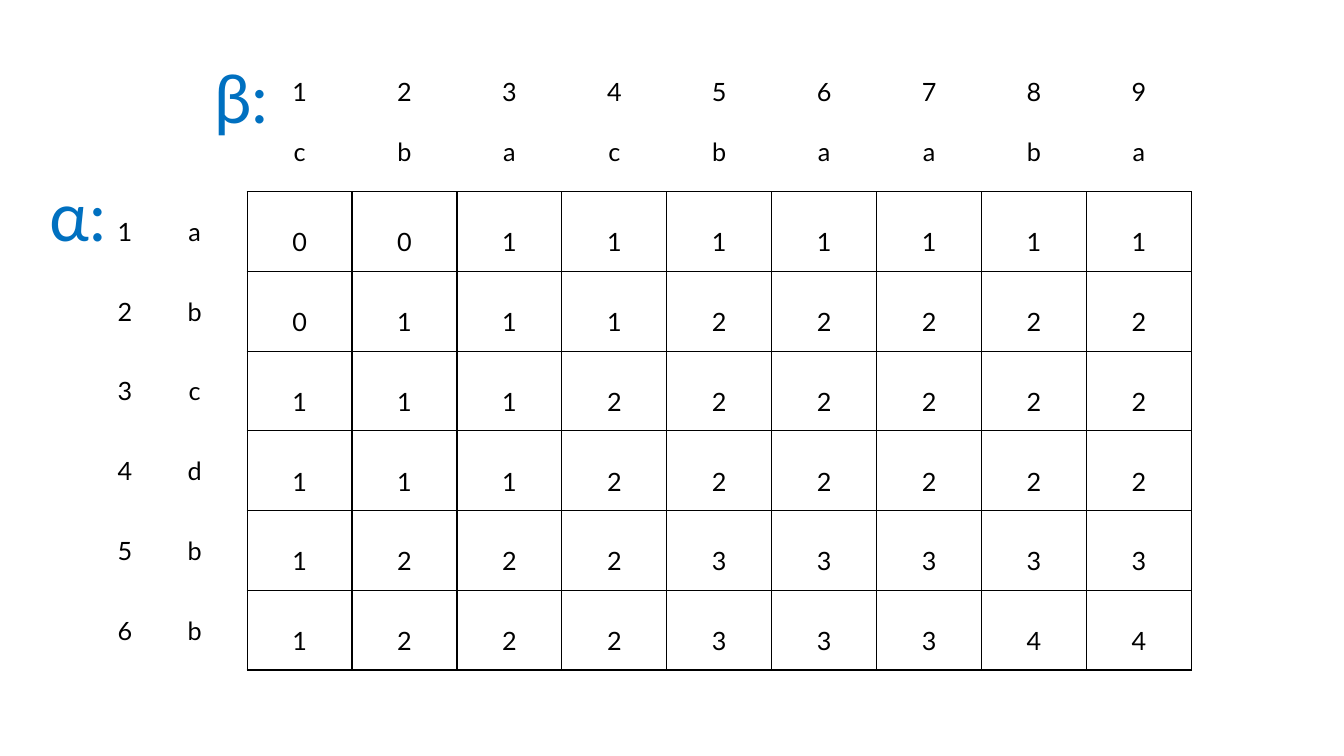
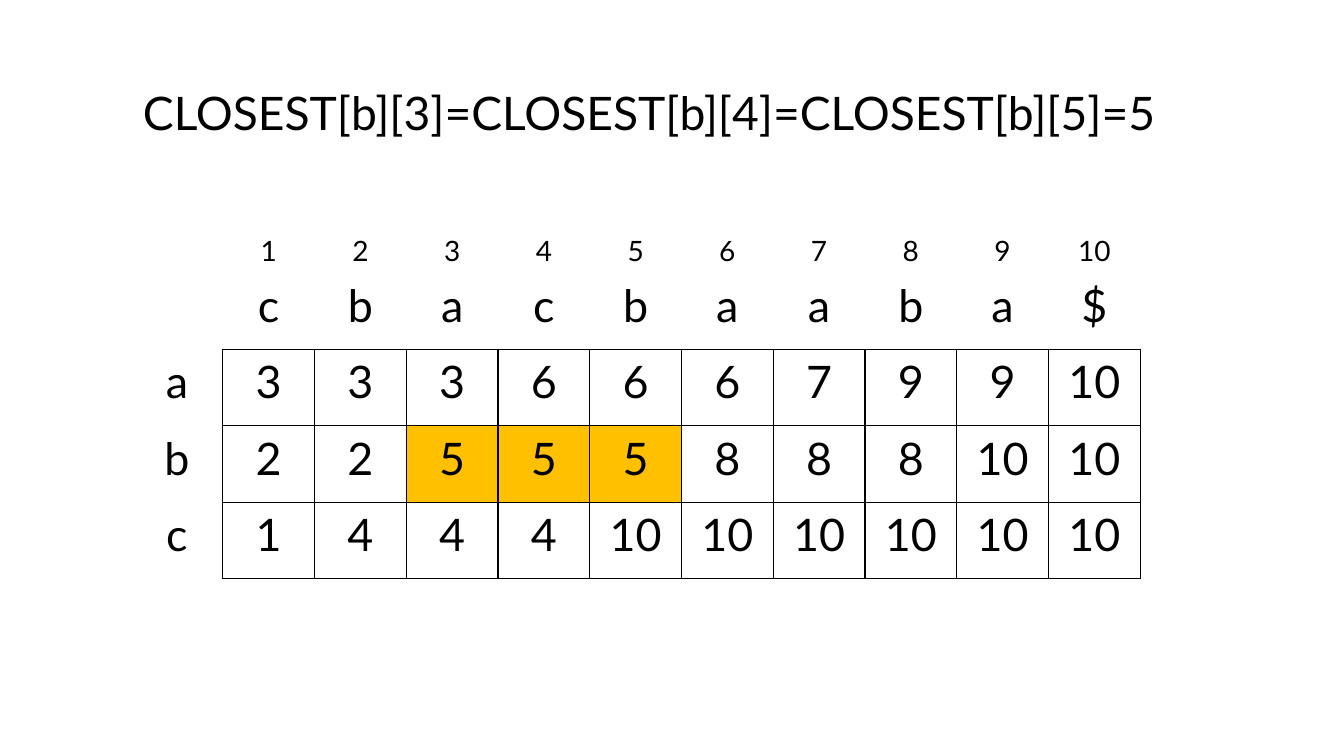
from lxml.etree import SubElement
from pptx import Presentation
from pptx.dml.color import RGBColor
from pptx.enum.text import MSO_ANCHOR, MSO_AUTO_SIZE, PP_ALIGN
from pptx.oxml import parse_xml
from pptx.oxml.ns import nsdecls, qn
from pptx.util import Inches, Pt

FONT = "Lato"
BLACK = "000000"
WHITE = "FFFFFF"
BLUE = "0070C0"
AMBER = "FFC000"
AMBER_OPACITY = 56

BETA = "cbaacbaab"
BETA = "cbacbaaba"
ALPHA = "abcdbb"
LENGTHS = [
    [0, 0, 1, 1, 1, 1, 1, 1, 1],
    [0, 1, 1, 1, 2, 2, 2, 2, 2],
    [1, 1, 1, 2, 2, 2, 2, 2, 2],
    [1, 1, 1, 2, 2, 2, 2, 2, 2],
    [1, 2, 2, 2, 3, 3, 3, 3, 3],
    [1, 2, 2, 2, 3, 3, 3, 4, 4],
]
CLOSEST = {
    "a": [3, 3, 3, 6, 6, 6, 7, 9, 9, 10],
    "b": [2, 2, 5, 5, 5, 8, 8, 8, 10, 10],
    "c": [1, 4, 4, 4, 10, 10, 10, 10, 10, 10],
}


def color(hex_string):
    return RGBColor.from_string(hex_string)


def write(text_frame, text, size, hex_color=BLACK, align=PP_ALIGN.CENTER):
    paragraph = text_frame.paragraphs[0]
    paragraph.alignment = align
    run = paragraph.add_run()
    run.text = text
    run.font.name = FONT
    run.font.size = Pt(size)
    run.font.color.rgb = color(hex_color)
    return paragraph


def add_label(slide, box, text, size, hex_color=BLACK, wrap=False):
    shape = slide.shapes.add_textbox(*map(Inches, box))
    shape.text_frame.word_wrap = wrap
    shape.text_frame.auto_size = MSO_AUTO_SIZE.SHAPE_TO_FIT_TEXT
    write(shape.text_frame, text, size, hex_color)


def set_borders(cell, edge_colors):
    """Draw 1 pt borders; edge_colors maps L, R, T and B to a colour."""
    properties = cell._tc.get_or_add_tcPr()
    for position, edge in enumerate("LRTB"):
        line = parse_xml(
            f'<a:ln{edge} {nsdecls("a")} w="{Pt(1)}"><a:solidFill>'
            f'<a:srgbClr val="{edge_colors[edge]}"/></a:solidFill></a:ln{edge}>'
        )
        properties.insert(position, line)


def highlight(cell):
    cell.fill.solid()
    cell.fill.fore_color.rgb = color(AMBER)
    rgb = cell._tc.tcPr.find(".//" + qn("a:srgbClr"))
    SubElement(rgb, qn("a:alpha"), val=str(AMBER_OPACITY * 1000))


def add_matrix(slide, box, rows, label_columns, label_rows=2):
    """Add a grid whose labels at the left and top have white borders."""
    frame = slide.shapes.add_table(len(rows), len(rows[0]), *map(Inches, box))
    table = frame.table
    table.first_row = table.horz_banding = False
    for row in range(len(rows)):
        for column in range(len(rows[0])):
            in_row, in_column = row >= label_rows, column >= label_columns
            edges = dict.fromkeys("LRTB", BLACK if in_row and in_column else WHITE)
            if in_row and column == label_columns - 1:
                edges["R"] = BLACK
            if in_column and row == label_rows - 1:
                edges["B"] = BLACK
            cell = table.cell(row, column)
            cell.fill.background()
            set_borders(cell, edges)
    return table


def add_lengths_slide(presentation):
    slide = presentation.slides.add_slide(presentation.slide_layouts[6])
    rows = [["", "", *range(1, len(BETA) + 1)], ["", "", *BETA]]
    rows += [
        [number, letter, *values]
        for number, (letter, values) in enumerate(zip(ALPHA, LENGTHS), 1)
    ]
    table = add_matrix(slide, (0.37, 0.32, 11.45, 6.33), rows, label_columns=2)
    for row, values in enumerate(rows):
        for column, value in enumerate(values):
            if value == "":
                continue
            cell = table.cell(row, column)
            align = PP_ALIGN.RIGHT if column == 0 else PP_ALIGN.CENTER
            paragraph = write(cell.text_frame, str(value), 18, align=align)
            if row >= 2 and column >= 2:
                paragraph.line_spacing = 2.0
            else:
                cell.vertical_anchor = MSO_ANCHOR.MIDDLE if row else MSO_ANCHOR.BOTTOM
    add_label(slide, (0.3, 1.68, 0.94, 0.91), "α:", 48, BLUE, wrap=True)
    add_label(slide, (1.99, 0.51, 0.81, 0.91), "β:", 48, BLUE)


def add_closest_slide(presentation):
    slide = presentation.slides.add_slide(presentation.slide_layouts[6])
    rows = [["", *range(1, len(BETA) + 2)], ["", *BETA, "$"]]
    rows += [[letter, *values] for letter, values in CLOSEST.items()]
    table = add_matrix(slide, (1.3, 1.95, 10.01, 3.79), rows, label_columns=1)
    for row, values in enumerate(rows):
        for column, value in enumerate(values):
            if value == "":
                continue
            cell = table.cell(row, column)
            write(cell.text_frame, str(value), 32 if row else 20)
            if row == 0:
                cell.vertical_anchor = MSO_ANCHOR.BOTTOM
            if values[0] == "b" and column in (3, 4, 5):
                highlight(cell)
    formula = "=".join(f"CLOSEST[b][{index}]" for index in (3, 4, 5)) + "=5"
    add_label(slide, (1.07, 0.79, 10.74, 0.66), formula, 33)


def main():
    presentation = Presentation()
    presentation.slide_width = Inches(13.33)
    presentation.slide_height = Inches(7.5)
    add_lengths_slide(presentation)
    add_closest_slide(presentation)
    presentation.save("out.pptx")


if __name__ == "__main__":
    main()
